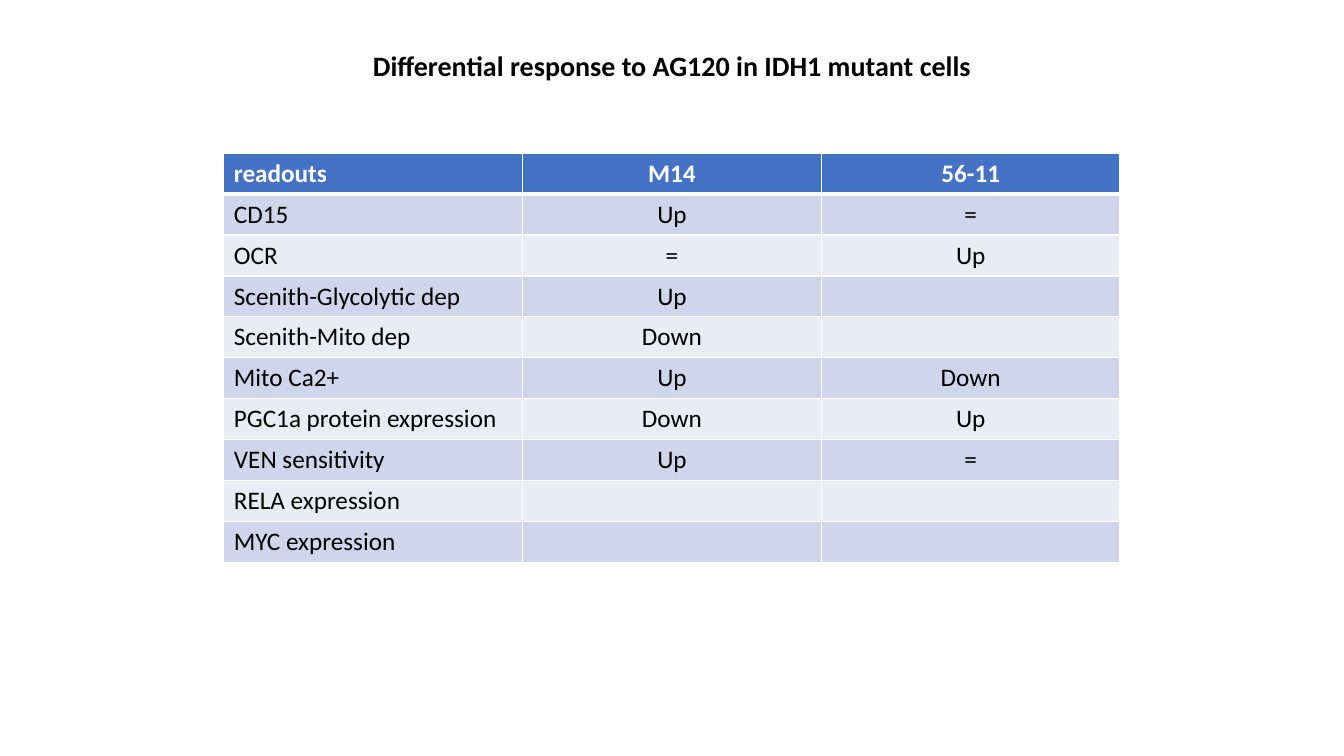
from lxml.etree import SubElement as Sub
from pptx import Presentation
from pptx.dml.color import RGBColor as RGB
from pptx.enum.text import MSO_ANCHOR as Anchor, MSO_AUTO_SIZE as Fit, PP_ALIGN as Align
from pptx.oxml.ns import qn
from pptx.util import Inches, Pt

BLACK = RGB(0x00, 0x00, 0x00)
WHITE = RGB(0xFF, 0xFF, 0xFF)
BLUE = RGB(0x44, 0x72, 0xC4)
BANDS = [RGB(0xE9, 0xEB, 0xF5), RGB(0xCF, 0xD5, 0xEA)]

ROWS = [
    ("readouts", "M14", "56-11"),
    ("CD15", "Up", "="),
    ("OCR", "=", "Up"),
    ("Scenith-Glycolytic dep", "Up", ""),
    ("Scenith-Mito dep", "Down", ""),
    ("Mito Ca2+", "Up", "Down"),
    ("PGC1a protein expression", "Down", "Up"),
    ("VEN sensitivity", "Up", "="),
    ("RELA expression", "", ""),
    ("MYC expression", "", ""),
]


class Deck:
    font = "Calibri"

    def __init__(self, wide, high):
        self.show = Presentation()
        self.show.slide_width = Inches(wide)
        self.show.slide_height = Inches(high)
        self.slide = self.show.slides.add_slide(self.show.slide_layouts[5])

    def style(self, para, size, color, bold, align):
        para.alignment = align
        for run in para.runs:
            run.font.name = self.font
            run.font.size = Pt(size)
            run.font.bold = bold
            run.font.color.rgb = color

    def title(self, text, left, top, wide, high):
        box = self.slide.shapes.title
        box.left, box.top = Inches(left), Inches(top)
        box.width, box.height = Inches(wide), Inches(high)
        frame = box.text_frame
        frame.text = text
        frame.word_wrap = True
        frame.auto_size = Fit.SHAPE_TO_FIT_TEXT
        frame.vertical_anchor = Anchor.TOP
        self.style(frame.paragraphs[0], 20, BLACK, True, Align.CENTER)

    def border(self, cell, side, width):
        props = cell._tc.get_or_add_tcPr()
        line = Sub(props, qn(f"a:ln{side}"), w=str(Pt(width)))
        fill = Sub(line, qn("a:solidFill"))
        Sub(fill, qn("a:srgbClr"), val=str(WHITE))

    def cell(self, cell, text, row, col):
        head = row == 0
        for side in "LRTB":
            thick = (head and side == "B") or (row == 1 and side == "T")
            self.border(cell, side, 3 if thick else 1)
        cell.fill.solid()
        cell.fill.fore_color.rgb = BLUE if head else BANDS[row % 2]
        cell.text = text
        align = Align.CENTER if col else Align.LEFT
        color = WHITE if head else BLACK
        self.style(cell.text_frame.paragraphs[0], 18, color, head, align)

    def table(self, rows, left, top, wide, high):
        frame = self.slide.shapes.add_table(
            len(rows), len(rows[0]), Inches(left), Inches(top), Inches(wide), Inches(high))
        for row, texts in enumerate(rows):
            for col, text in enumerate(texts):
                self.cell(frame.table.cell(row, col), text, row, col)

    def save(self):
        self.show.save("out.pptx")


def main():
    deck = Deck(13.33, 7.5)
    deck.title("Differential response to AG120 in IDH1 mutant cells", 0, 0.43, 13.33, 0.44)
    deck.table(ROWS, 2.22, 1.52, 8.89, 4.06)
    deck.save()


if __name__ == "__main__":
    main()
